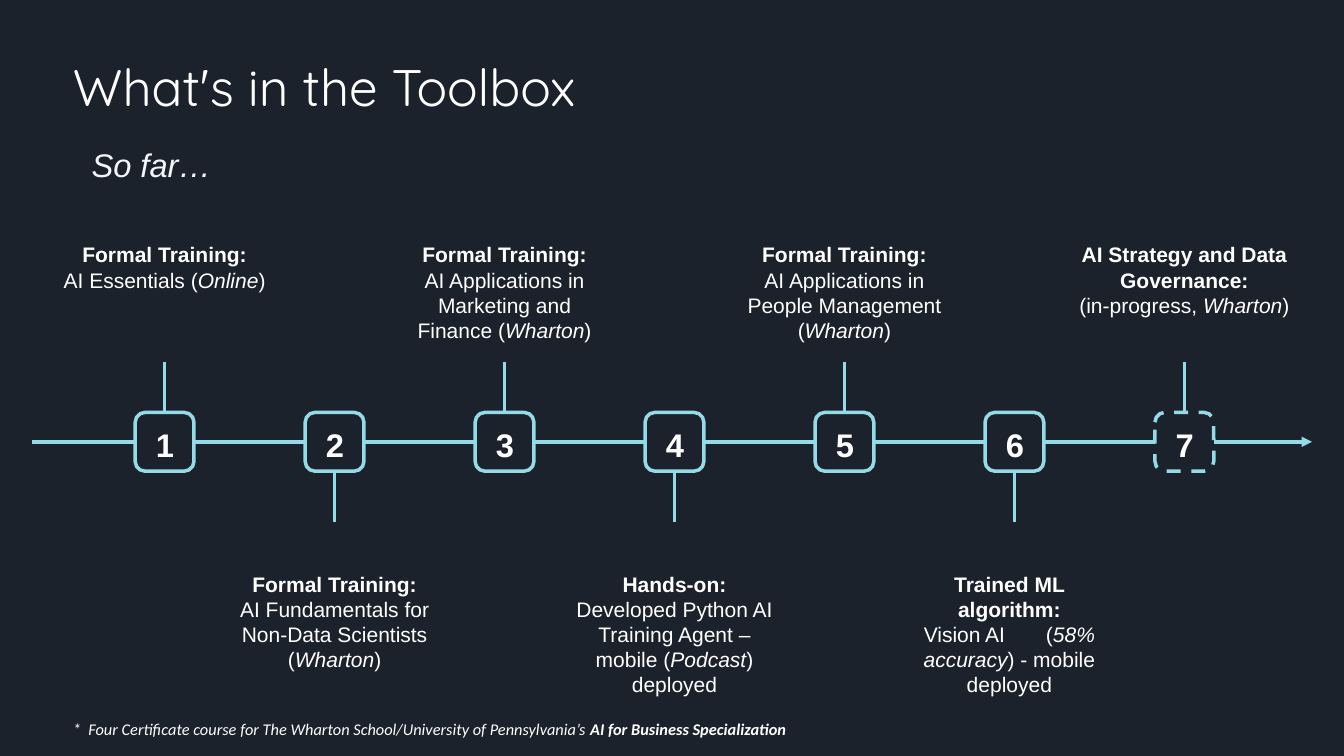
from lxml import etree
from pptx import Presentation
from pptx.dml.color import RGBColor
from pptx.enum.dml import MSO_LINE_DASH_STYLE as DASH
from pptx.enum.shapes import MSO_CONNECTOR, MSO_SHAPE
from pptx.enum.text import MSO_AUTO_SIZE, PP_ALIGN
from pptx.oxml.ns import qn
from pptx.util import Inches, Pt

NIGHT = RGBColor(0x1C, 0x22, 0x2B)
AQUA = RGBColor(0x93, 0xDB, 0xE6)
WHITE = RGBColor(0xFF, 0xFF, 0xFF)
MIST = RGBColor(0xF2, 0xF5, 0xFA)

BOLD, ITALIC = {"bold": True}, {"italic": True}
TRAINING = "Formal Training:"
FIRST, LAST, SIDE, AXIS, STEM = 1.96, 14.1, 0.7, 5.26, 0.6
LABEL_W = 2.7

MILESTONES = [
    (TRAINING, [("AI Essentials (", {}), ("Online", ITALIC), (")", {})], 1.04, 0),
    (TRAINING, [("AI Fundamentals for Non-Data Scientists (", {}),
                ("Wharton", ITALIC), (")", {})], 1.31, 0),
    (TRAINING, [("AI Applications in Marketing and Finance (", {}),
                ("Wharton", ITALIC), (")", {})], 1.31, 0),
    ("Hands-on:", [("Developed Python AI Training Agent – mobile (", {}),
                   ("Podcast", ITALIC), (") deployed", {})], 1.62, 0),
    (TRAINING, [("AI Applications in People Management (", {}),
                ("Wharton", ITALIC), (")", {})], 1.31, 0),
    ("Trained ML algorithm:", [("Vision AI", {}), (" ", {"gap": 30}), ("(", {}),
                               ("58% accuracy", ITALIC),
                               (") - mobile deployed", {})], 1.62, -0.06),
    ("AI Strategy and Data Governance:", [("(in-progress, ", {}),
                                          ("Wharton", ITALIC), (")", {})], 1.31, 0),
]


class Timeline:
    """Draws the timeline's elements on one slide in a shared style."""

    def __init__(self, prs):
        self.s = prs.slides.add_slide(prs.slide_layouts[6])
        self.s.background.fill.solid()
        self.s.background.fill.fore_color.rgb = NIGHT

    def text(self, x, y, w, h, runs, size, name="Arial", color=WHITE, align=PP_ALIGN.LEFT,
             **frame):
        tf = self.s.shapes.add_textbox(*map(Inches, (x, y, w, h))).text_frame
        for key, value in {"word_wrap": True, "auto_size": MSO_AUTO_SIZE.SHAPE_TO_FIT_TEXT,
                           **frame}.items():
            setattr(tf, key, value)
        p = tf.paragraphs[0]
        p.alignment = align
        for words, style in runs:
            if words == "\n":
                p.add_line_break()
                continue
            r = p.add_run()
            r.text = words
            style = {"size": Pt(size), "name": name, **style}
            gap = style.pop("gap", None)
            for key, value in style.items():
                setattr(r.font, key, value)
            r.font.color.rgb = color
            if gap:
                r.font._element.set("spc", str(gap * 100))
        return p

    def stroke(self, shape):
        shape.line.color.rgb = AQUA
        shape.line.width = Pt(3)

    def line(self, x1, y1, x2, y2, arrow=False):
        c = self.s.shapes.add_connector(MSO_CONNECTOR.STRAIGHT,
                                        *map(Inches, (x1, y1, x2, y2)))
        self.stroke(c)
        if arrow:
            etree.SubElement(c.line._get_or_add_ln(), qn("a:tailEnd"), type="triangle")
        etree.SubElement(c._element.spPr, qn("a:effectLst"))

    def box(self, cx, number, dashed):
        sp = self.s.shapes.add_shape(MSO_SHAPE.ROUNDED_RECTANGLE, *map(
            Inches, (cx - SIDE / 2, AXIS - SIDE / 2, SIDE, SIDE)))
        sp.shadow.inherit = False
        sp.fill.background()
        self.stroke(sp)
        if dashed:
            sp.line.dash_style = DASH.DASH
        self.text(cx - 0.33, 5.01, 0.67, 0.57, [(str(number), BOLD)], 28,
                  align=PP_ALIGN.CENTER)

    def label(self, cx, y, h, heading, body):
        self.text(cx - LABEL_W / 2, y, LABEL_W, h, [(heading, BOLD), ("\n", {}), *body], 18,
                  align=PP_ALIGN.CENTER)


def main():
    prs = Presentation()
    prs.slide_width, prs.slide_height = Inches(16), Inches(9)
    t = Timeline(prs)
    t.text(0.77, 0.61, 9.18, 0.84, [("What's in the Toolbox", {})], 44, "Quicksand")
    p = t.text(0.77, 1.38, 7.4, 0.81, [("So far…", ITALIC)], 28, color=MIST,
               word_wrap=False, auto_size=MSO_AUTO_SIZE.NONE, margin_left=Inches(0.32),
               margin_right=0, margin_top=0, margin_bottom=0)
    p.line_spacing = Pt(58)

    half, start = SIDE / 2, 0.38
    step = (LAST - FIRST) / (len(MILESTONES) - 1)
    for i, (heading, body, height, shift) in enumerate(MILESTONES):
        cx = FIRST + i * step
        above = i % 2 == 0
        side = -1 if above else 1
        t.line(start, AXIS, cx - half, AXIS)
        t.line(cx, AXIS + side * half, cx, AXIS + side * (half + STEM))
        t.box(cx, i + 1, dashed=i == len(MILESTONES) - 1)
        t.label(cx + shift, 2.83 if above else 6.75, height, heading, body)
        start = cx + half
    t.line(start, AXIS, 15.62, AXIS, arrow=True)

    t.text(0.77, 8.51, 14.22, 0.34, [
        ("*", ITALIC), (" ", {**ITALIC, "gap": 3}),
        ("Four Certificate course for The Wharton School/University of Pennsylvania’s ", ITALIC),
        ("AI for Business Specialization", {**ITALIC, **BOLD})], 14, "Calibri")
    prs.save("out.pptx")


if __name__ == "__main__":
    main()
